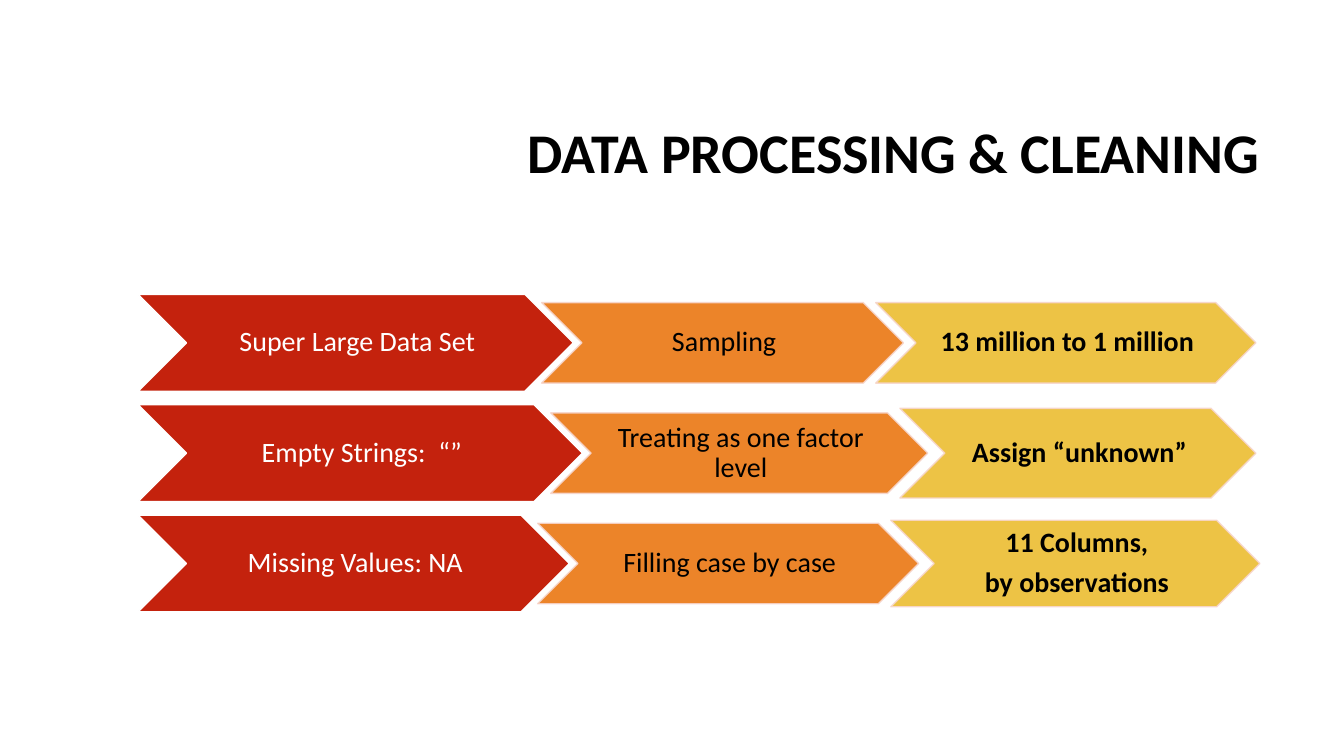
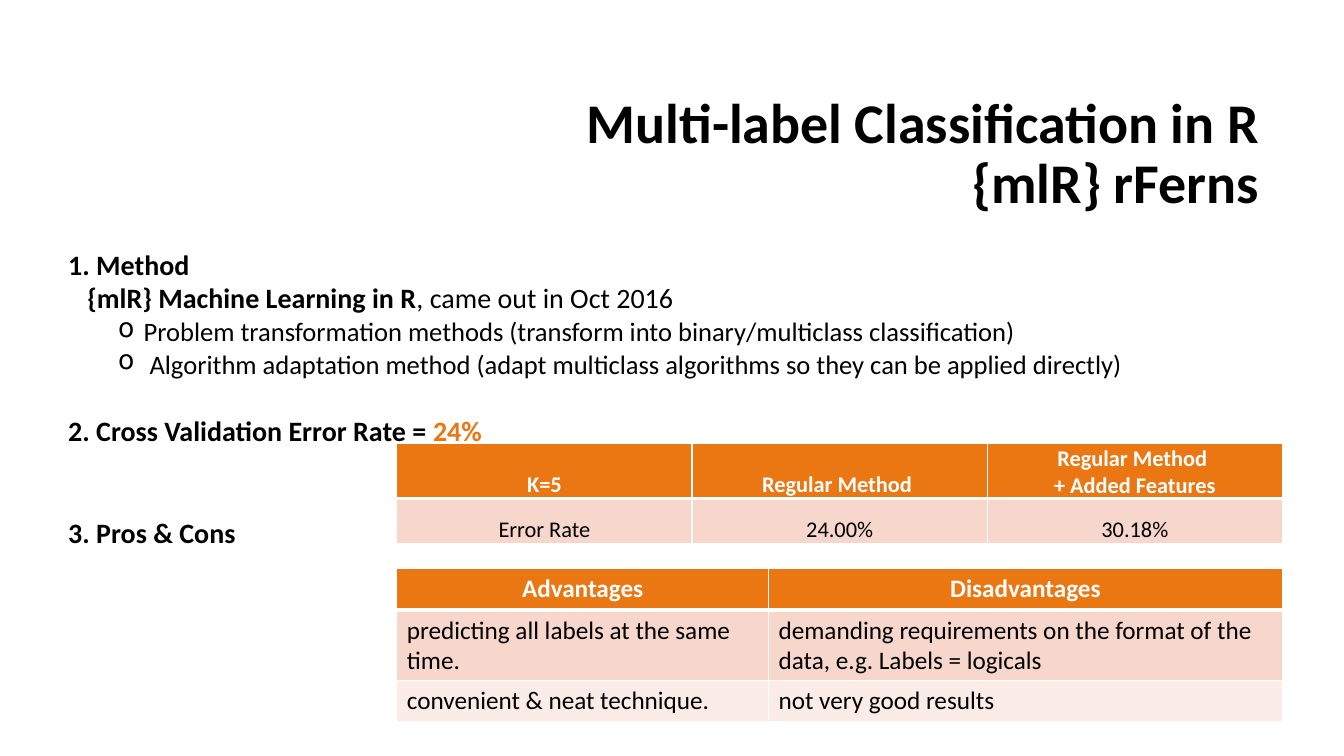
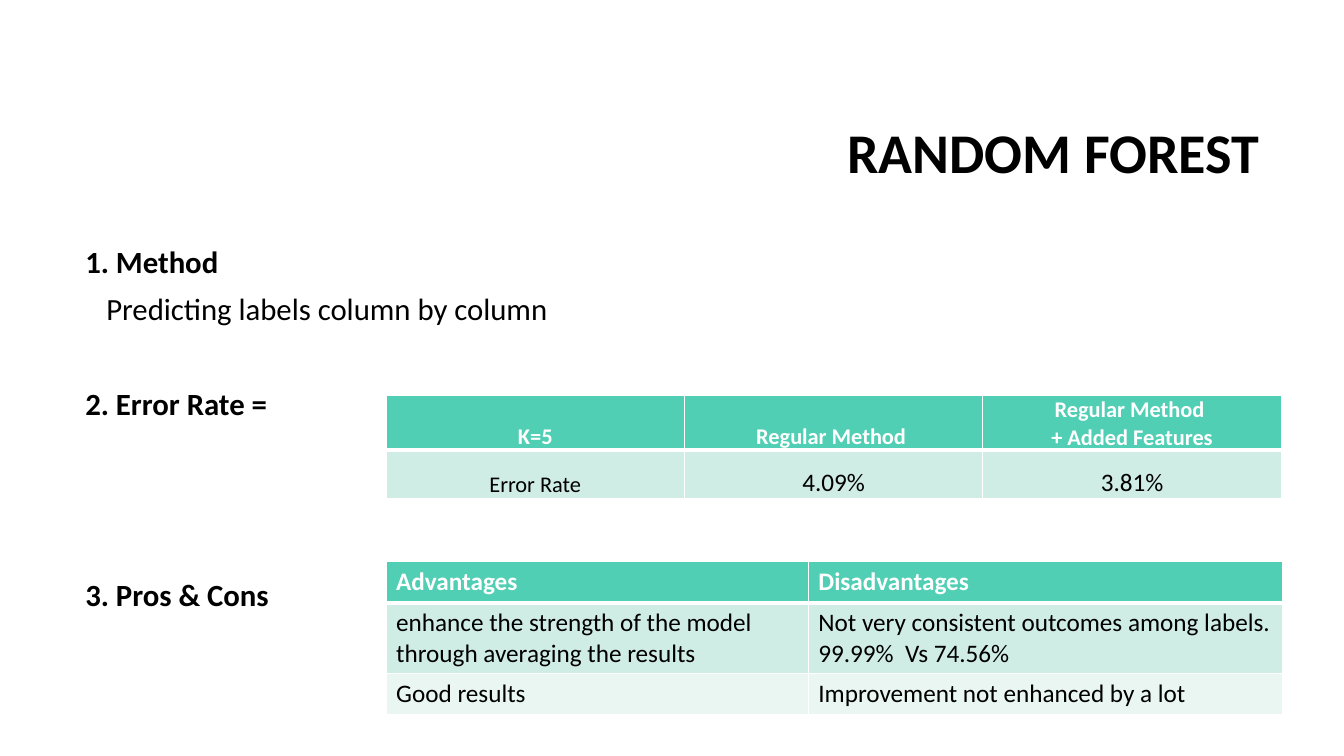
from dataclasses import dataclass
from itertools import accumulate

from pptx import Presentation
from pptx.dml.color import RGBColor
from pptx.enum.shapes import MSO_SHAPE
from pptx.enum.text import MSO_ANCHOR, PP_ALIGN
from pptx.oxml.ns import qn
from pptx.oxml.xmlchemy import OxmlElement
from pptx.slide import Slide
from pptx.text.text import TextFrame, _Paragraph
from pptx.util import Cm, Pt

FONT = "Calibri"
HUES = {
    "white": "FFFFFF",
    "black": "000000",
    "red": "C4220D",
    "orange": "EB7712",
    "gold": "ECBD31",
    "peach": "F7D6CC",
    "blush": "FBECE7",
    "teal": "50CFB4",
    "mint": "D0EDE5",
    "pale": "E9F6F2",
}
WARM = ("orange", "peach", "blush")
COOL = ("teal", "mint", "pale")


@dataclass(frozen=True)
class Step:
    text: str
    width: float
    height: float


@dataclass(frozen=True)
class Kind:
    fill: str
    edge: str
    ink: str
    bold: bool
    lap: float
    alpha: int


@dataclass(frozen=True)
class Span:
    text: str
    bold: bool = True
    ink: str = "black"


@dataclass(frozen=True)
class Line:
    spans: tuple[Span, ...]
    size: float
    gap: float = 0
    left: float = 0
    space: float = 1
    mark: bool = False


@dataclass(frozen=True)
class Grid:
    left: float
    top: float
    cols: tuple[float, ...]
    rows: tuple[float, ...]
    cells: tuple[tuple[str, ...], ...]
    hues: tuple[str, str, str]
    sizes: tuple[float, ...]
    heads: PP_ALIGN = PP_ALIGN.CENTER
    tight: bool = False


KINDS = (
    Kind("red", "white", "white", False, 0, 100),
    Kind("orange", "peach", "black", False, 0.8, 90),
    Kind("gold", "peach", "black", True, 0.7, 90),
)
FLOW = (
    (
        Step("Super Large Data Set", 10.97, 2.44),
        Step("Sampling", 9.12, 2.03),
        Step("13 million to 1 million", 9.58, 2.03),
    ),
    (
        Step("Empty Strings:  “”", 11.2, 2.44),
        Step("Treating as one factor level", 9.5, 2.03),
        Step("Assign “unknown”", 8.97, 2.26),
    ),
    (
        Step("Missing Values: NA", 10.87, 2.44),
        Step("Filling case by case", 9.6, 2.03),
        Step("11 Columns,\nby observations", 9.3, 2.18),
    ),
)
FERNS = (
    Line((Span("1. Method"),), 20),
    Line((Span("{mlR} Machine Learning in\u00a0R"), Span(", came out in Oct 2016", False)), 20, left=0.48),
    Line(
        (Span("Problem transformation methods\u00a0(transform into binary/multiclass classification)", False),),
        19, gap=5, left=1.9, space=0.8, mark=True,
    ),
    Line(
        (Span(" Algorithm adaptation method (adapt multiclass algorithms so they can be applied directly)", False),),
        19, gap=5, left=1.9, space=0.8, mark=True,
    ),
    Line((Span("2. Cross Validation Error Rate = "), Span("24%", ink="orange")), 20, gap=24.4),
    Line((Span("3. Pros & Cons"),), 20, gap=48.8),
)
FOREST = (
    Line((Span("1. Method"),), 22, gap=10, space=0.9),
    Line((Span("Predicting labels column by column", False),), 22, gap=10, left=0.53, space=0.9),
    Line((Span("2. Error Rate ="),), 22, gap=44, space=0.9),
    Line((Span("3. Pros & Cons"),), 22, gap=112.5, space=0.9),
)


def tone(name: str) -> RGBColor:
    return RGBColor.from_string(HUES[name])


def write(
    frame: TextFrame,
    text: str,
    *,
    size: float,
    ink: str = "black",
    bold: bool = False,
    align: PP_ALIGN = PP_ALIGN.LEFT,
    space: float = 1,
    gap: float = 0,
    after: float = 0,
    join: bool = False,
) -> _Paragraph:
    for piece in text.split("\n"):
        para = frame.paragraphs[-1]
        if para.runs and not join:
            para = frame.add_paragraph()
        para.alignment = align
        para.line_spacing = space
        para.space_before = Pt(gap)
        para.space_after = Pt(after)
        for spot, bit in enumerate(piece.split("\v")):
            if spot:
                para.add_line_break()
            run = para.add_run()
            run.text = bit
            run.font.name = FONT
            run.font.size = Pt(size)
            run.font.bold = bold
            run.font.color.rgb = tone(ink)
    return para


def block(slide: Slide, left: float, top: float, width: float, height: float) -> TextFrame:
    frame = slide.shapes.add_textbox(Cm(left), Cm(top), Cm(width), Cm(height)).text_frame
    frame.word_wrap = True
    return frame


def head(slide: Slide, text: str) -> None:
    frame = block(slide, 8.05, 2.13, 23.93, 3.58)
    frame.vertical_anchor = MSO_ANCHOR.MIDDLE
    write(frame, text, size=40, bold=True, align=PP_ALIGN.RIGHT, space=0.9)


def indent(para: _Paragraph, line: Line) -> None:
    props = para._p.get_or_add_pPr()
    props.set("marL", str(Cm(line.left)))
    props.set("indent", str(Cm(-0.64 if line.mark else 0)))
    if line.mark:
        dot = OxmlElement("a:buChar")
        dot.set("char", "o")
        props.append(dot)


def body(slide: Slide, left: float, lines: tuple[Line, ...]) -> None:
    frame = block(slide, left, 6.1, 30.85, 12.5)
    for line in lines:
        for spot, span in enumerate(line.spans):
            para = write(
                frame, span.text, size=line.size, ink=span.ink, bold=span.bold,
                space=line.space, gap=line.gap, join=spot > 0,
            )
        indent(para, line)


def arrow(slide: Slide, left: float, mid: float, step: Step, kind: Kind) -> None:
    shape = slide.shapes.add_shape(
        MSO_SHAPE.CHEVRON, Cm(left), Cm(mid - step.height / 2), Cm(step.width), Cm(step.height)
    )
    shape.shadow.inherit = False
    shape.fill.solid()
    shape.fill.fore_color.rgb = tone(kind.fill)
    shape.line.color.rgb = tone(kind.edge)
    shape.line.width = Pt(1)
    if kind.alpha < 100:
        for node in shape._element.spPr.iter(qn("a:srgbClr")):
            alpha = OxmlElement("a:alpha")
            alpha.set("val", str(kind.alpha * 1000))
            node.append(alpha)
    frame = shape.text_frame
    frame.word_wrap = True
    frame.vertical_anchor = MSO_ANCHOR.MIDDLE
    frame.margin_left, frame.margin_right = Cm(0.08), 0
    frame.margin_top = frame.margin_bottom = Cm(0.03)
    write(
        frame, step.text, size=20, ink=kind.ink, bold=kind.bold,
        align=PP_ALIGN.CENTER, space=0.9, after=7,
    )


def flow(slide: Slide) -> None:
    for row, steps in enumerate(FLOW):
        ends = accumulate(
            (step.width - kind.lap for step, kind in zip(steps, KINDS)), initial=3.48
        )
        for end, step, kind in zip(ends, steps, KINDS):
            arrow(slide, end - kind.lap, 8.64 + row * 2.78, step, kind)


def edge(cell, row: int) -> None:
    props = cell._tc.get_or_add_tcPr()
    widths = {"L": 1, "R": 1, "T": 3 if row == 1 else 1, "B": 1 if row else 3}
    for side, width in widths.items():
        line = OxmlElement(f"a:ln{side}")
        line.set("w", str(Pt(width)))
        fill = OxmlElement("a:solidFill")
        tint = OxmlElement("a:srgbClr")
        tint.set("val", HUES["white"])
        fill.append(tint)
        line.append(fill)
        props.append(line)


def table(slide: Slide, grid: Grid) -> None:
    sheet = slide.shapes.add_table(
        len(grid.rows), len(grid.cols), Cm(grid.left), Cm(grid.top),
        Cm(sum(grid.cols)), Cm(sum(grid.rows)),
    ).table
    sheet.horz_banding = False
    for col, width in zip(sheet.columns, grid.cols):
        col.width = Cm(width)
    for row, texts in enumerate(grid.cells):
        sheet.rows[row].height = Cm(grid.rows[row])
        for col, text in enumerate(texts):
            cell = sheet.cell(row, col)
            edge(cell, row)
            cell.fill.solid()
            cell.fill.fore_color.rgb = tone(grid.hues[row])
            if grid.tight:
                cell.vertical_anchor = MSO_ANCHOR.BOTTOM
                cell.margin_left = cell.margin_right = cell.margin_top = Cm(0.03)
                cell.margin_bottom = 0
            top = row == 0
            write(
                cell.text_frame, text,
                size=grid.sizes[0] if top or col == 0 else grid.sizes[-1],
                ink="white" if top else "black", bold=top,
                align=grid.heads if top or grid.tight else PP_ALIGN.LEFT,
            )


def rates(
    slide: Slide, left: float, top: float, width: float, low: float,
    vals: tuple[str, str], hues: tuple[str, str, str], size: float,
) -> None:
    cells = (("K=5", "Regular Method ", "Regular Method \n+ Added Features"), ("Error Rate", *vals))
    table(slide, Grid(left, top, (width,) * 3, (1.37, low), cells, hues, (16, size), tight=True))


def pros(
    slide: Slide, left: float, top: float, cols: tuple[float, float],
    rows: tuple[tuple[str, str], ...], hues: tuple[str, str, str], heads: PP_ALIGN,
) -> None:
    cells = (("Advantages", "Disadvantages"), *rows)
    table(slide, Grid(left, top, cols, (1.04, 1.76, 1.04), cells, hues, (18,), heads))


def main() -> None:
    deck = Presentation()
    deck.slide_width, deck.slide_height = Cm(33.87), Cm(19.05)
    first, second, third = (deck.slides.add_slide(deck.slide_layouts[6]) for _ in range(3))

    head(first, "DATA PROCESSING & CLEANING")
    flow(first)

    head(second, "Multi-label Classification in R\v{mlR} rFerns")
    body(second, 1.47, FERNS)
    pros(
        second, 10, 14.33, (9.37, 12.95),
        (
            ("predicting all labels at the same time.",
             "demanding requirements on the format of the data, e.g. Labels = logicals"),
            ("convenient & neat technique.", "not very good results"),
        ),
        WARM, PP_ALIGN.CENTER,
    )
    rates(second, 10, 11.18, 7.44, 1.14, ("24.00%", "30.18%"), WARM, 16)

    head(third, "RANDOM FOREST")
    body(third, 1.9, FOREST)
    rates(third, 9.73, 9.96, 7.52, 1.22, ("4.09%", "3.81%"), COOL, 18)
    pros(
        third, 9.73, 14.15, (10.64, 11.94),
        (
            ("enhance the strength of the model through averaging the results",
             "Not very consistent outcomes among labels. 99.99%  Vs 74.56%"),
            ("Good results", "Improvement not enhanced by a lot"),
        ),
        COOL, PP_ALIGN.LEFT,
    )
    deck.save("out.pptx")


if __name__ == "__main__":
    main()
